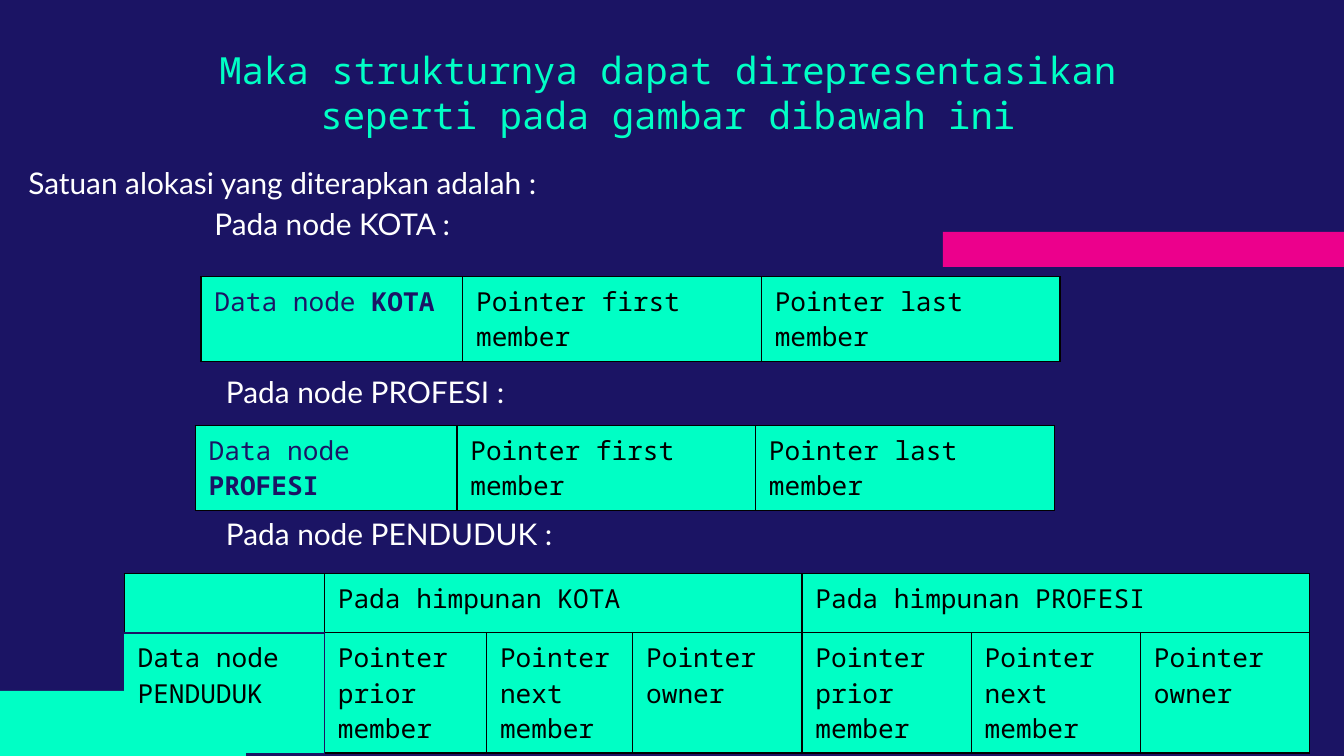
from lxml.etree import SubElement
from pptx import Presentation
from pptx.dml.color import RGBColor
from pptx.enum.shapes import MSO_SHAPE
from pptx.enum.text import MSO_ANCHOR, MSO_AUTO_SIZE, PP_ALIGN
from pptx.oxml.ns import qn
from pptx.util import Pt

COLORS = {
    "navy": "1B1464",
    "mint": "00FFC5",
    "pink": "EC008C",
    "white": "FFFFFF",
    "black": "000000",
}
MONO, SANS = "Noto Sans Mono", "Lato"
BLACK_LINE, NAVY_LINE = ("black", 0.75), ("navy", 1)
GRID = dict.fromkeys("LRTB", BLACK_LINE)
TABLE_FRAME = 236.22  # nominal side of each table frame


def rgb(name):
    return RGBColor.from_string(COLORS[name])


def write(p, text, font=MONO, size=14, color="black", bold=False):
    r = p.add_run()
    r.text = text
    r.font.name, r.font.size, r.font.bold = font, Pt(size), bold
    r.font.color.rgb = rgb(color)


def set_frame(tf, anchor):
    tf.word_wrap = True
    tf.auto_size = MSO_AUTO_SIZE.NONE
    tf.vertical_anchor = anchor
    tf.margin_left = tf.margin_right = tf.margin_top = tf.margin_bottom = Pt(7.2)


def add_title(s, box, text):
    title = s.shapes.title
    title.left, title.top, title.width, title.height = map(Pt, box)
    set_frame(title.text_frame, MSO_ANCHOR.TOP)
    p = title.text_frame.paragraphs[0]
    p.alignment, p.line_spacing = PP_ALIGN.CENTER, 1.0
    write(p, text, size=20, color="mint")


def add_bar(s, box, color):
    sp = s.shapes.add_shape(MSO_SHAPE.RECTANGLE, *map(Pt, box))
    sp.shadow.inherit = False
    sp.fill.solid()
    sp.fill.fore_color.rgb = rgb(color)
    sp.line.fill.background()


def add_label(s, box, text):
    tf = s.shapes.add_textbox(*map(Pt, box)).text_frame
    set_frame(tf, MSO_ANCHOR.MIDDLE)
    write(tf.paragraphs[0], text, font=SANS, size=16, color="white")


def style_cell(cell, borders):
    """Mint fill and the given borders, a dict of side to (color, width)."""
    tc_pr = cell._tc.get_or_add_tcPr()
    for side in "LRTB":
        color, width = borders.get(side, (None, 0))
        ln = SubElement(tc_pr, qn(f"a:ln{side}"), w=str(Pt(width)))
        if color:
            fill = SubElement(ln, qn("a:solidFill"))
            SubElement(fill, qn("a:srgbClr"), val=COLORS[color])
        else:
            SubElement(ln, qn("a:noFill"))
    cell.fill.solid()
    cell.fill.fore_color.rgb = rgb("mint")


def add_grid(s, left, top, widths, heights):
    frame = s.shapes.add_table(len(heights), len(widths), Pt(left), Pt(top),
                               Pt(sum(widths)), Pt(sum(heights)))
    table = frame.table
    table.first_row = table.horz_banding = False
    for column, width in zip(table.columns, widths):
        column.width = Pt(width)
    for row, height in zip(table.rows, heights):
        row.height = Pt(height)
    frame.width = frame.height = Pt(TABLE_FRAME)
    return table


def add_owner_table(s, left, top, node):
    """One row: the node's data and its two member pointers."""
    table = add_grid(s, left, top, [140.2, 160, 160], [42.5])
    for cell in table.iter_cells():
        style_cell(cell, GRID)
    p = table.cell(0, 0).text_frame.paragraphs[0]
    write(p, "Data node ", color="navy")
    write(p, node, color="navy", bold=True)
    for col, which in enumerate(("first", "last"), 1):
        write(table.cell(0, col).text_frame.paragraphs[0], f"Pointer {which} member")


def add_member_table(s, left, top, node, sets):
    """Pointers of the member node, three for each set it belongs to."""
    widths = [107.3, 86.9, 78.3] + [90.7] * 4
    table = add_grid(s, left, top, widths, [31.7, 48.2])
    special = {
        (0, 0): GRID | {"B": NAVY_LINE},
        (1, 0): {"T": NAVY_LINE, "R": NAVY_LINE},
        (1, 1): GRID | {"L": NAVY_LINE},
    }
    for row in range(2):
        for col in range(len(widths)):
            style_cell(table.cell(row, col), special.get((row, col), GRID))

    write(table.cell(1, 0).text_frame.paragraphs[0], f"Data node {node}")
    pointers = ("Pointer prior member", "Pointer next member", "Pointer owner")
    for i, name in enumerate(sets):
        first = 1 + 3 * i
        table.cell(0, first).merge(table.cell(0, first + 2))
        write(table.cell(0, first).text_frame.paragraphs[0], f"Pada himpunan {name}")
        for col, text in enumerate(pointers, first):
            tf = table.cell(1, col).text_frame
            if col == 1:  # this cell breaks its text into two paragraphs
                write(tf.paragraphs[0], "Pointer prior")
                write(tf.add_paragraph(), "member")
            else:
                write(tf.paragraphs[0], text)


def main():
    prs = Presentation()
    prs.slide_width, prs.slide_height = Pt(720), Pt(405)
    s = prs.slides.add_slide(prs.slide_layouts[5])
    s.background.fill.solid()
    s.background.fill.fore_color.rgb = rgb("navy")

    # Decorative bars
    add_bar(s, (505.2, 124.2, 214.8, 18.8), "pink")
    add_bar(s, (0, 370.2, 131.8, 34.8), "mint")

    # Title and introduction
    add_title(s, (98.8, 18, 518.4, 52.6),
              "Maka strukturnya dapat direpresentasikan seperti pada gambar dibawah ini")
    add_label(s, (8.2, 76.7, 314.6, 42.5), "Satuan alokasi yang diterapkan adalah :")

    # Node sections
    for node, left, top in (("KOTA", 107.8, 104.4), ("PROFESI", 114, 194.4),
                            ("PENDUDUK", 114, 270.4)):
        add_label(s, (left, top, 314.6, 31), f"Pada node {node} :")
    add_owner_table(s, 107.7, 148.2, "KOTA")
    add_owner_table(s, 104.6, 228, "PROFESI")
    add_member_table(s, 66.5, 307.3, "PENDUDUK", ("KOTA", "PROFESI"))

    prs.save("out.pptx")


if __name__ == "__main__":
    main()
